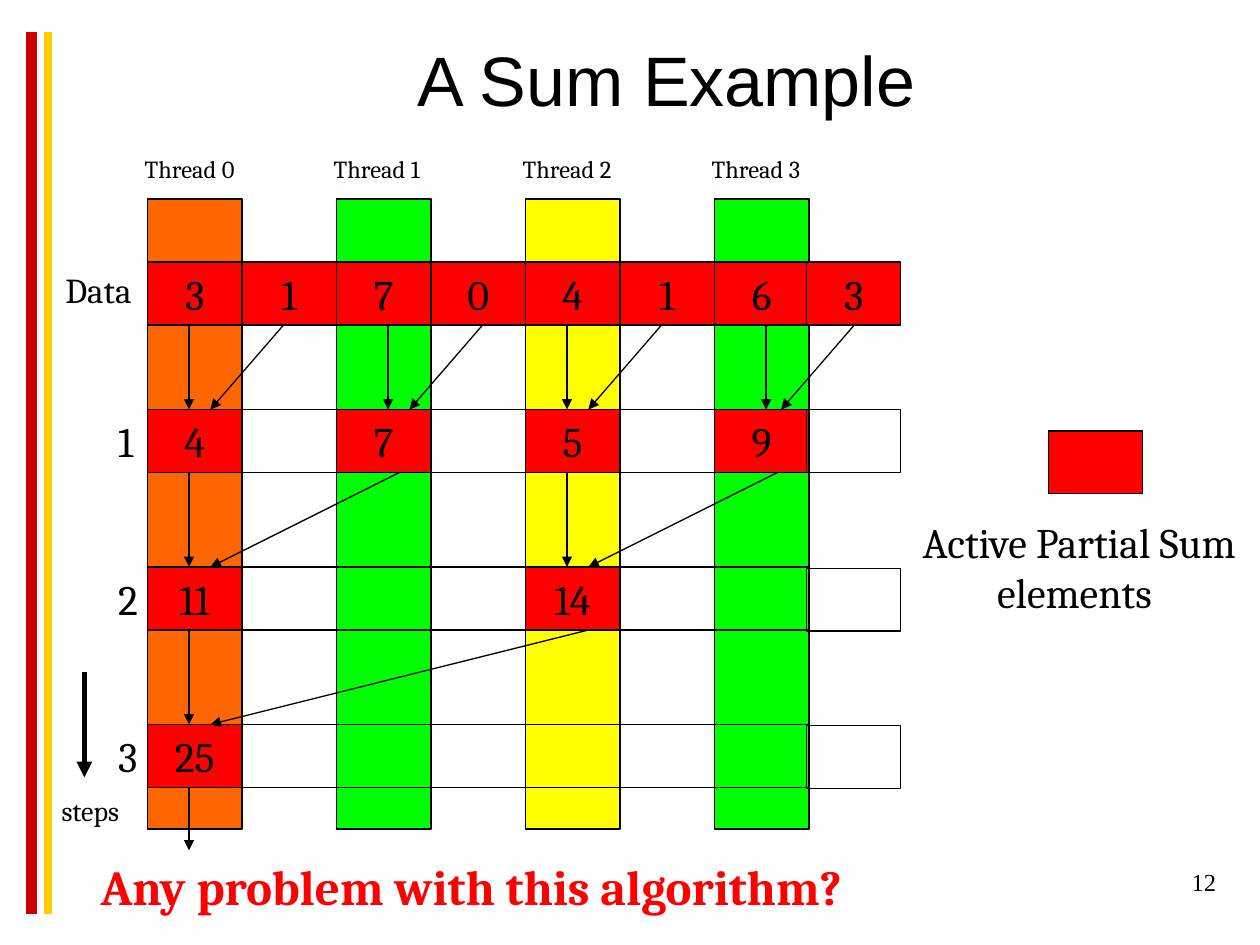
"""Builds the slide that shows a parallel sum reduction across four threads."""
from lxml.etree import SubElement
from pptx import Presentation
from pptx.dml.color import RGBColor
from pptx.enum.shapes import MSO_CONNECTOR, MSO_SHAPE
from pptx.enum.text import MSO_ANCHOR, PP_ALIGN
from pptx.oxml.ns import qn
from pptx.util import Pt

PX = 9144
COLORS = {"black": "000000", "red": "FF0000", "green": "00FF00", "yellow": "FFFF00",
          "orange": "FF6600", "white": "FFFFFF", "bar_red": "CC0000", "bar_gold": "FFCC00"}
CELL_W, CELL_H = 75, 50
GRID_X, LAST_X = 117, 640
THREAD_GAP = 2 * CELL_W
THREADS = ["orange", "green", "yellow", "green"]
ROWS = [
    (208, 0, ["3", "1", "7", "0", "4", "1", "6", "3"]),
    (325, 0, ["4", "", "7", "", "5", "", "9", ""]),
    (450, 1, ["11", "", "", "", "14", "", "", ""]),
    (575, 1, ["25", "", "", "", "", "", "", ""]),
]
STEP_ARROWS = [
    [(150, 150), (225, 167), (308, 308), (383, 325),
     (450, 450), (525, 467), (608, 608), (678, 620)],
    [(150, 150), (317, 167), (450, 450), (617, 467)],
    [(150, 150), (467, 167)],
]


def rgb(name):
    return RGBColor.from_string(COLORS[name])


def write(sp, text, size=24, color="black", font="Cambria", bold=False,
          align=PP_ALIGN.LEFT, anchor=MSO_ANCHOR.TOP, wrap=False):
    tf = sp.text_frame
    for name, value in {"word_wrap": wrap, "vertical_anchor": anchor}.items():
        setattr(tf, name, value)
    p = tf.paragraphs[0]
    p.alignment = align
    r = p.add_run()
    r.text = text
    for name, value in {"size": Pt(size), "name": font, "bold": bold}.items():
        setattr(r.font, name, value)
    r.font.color.rgb = rgb(color)


def add_label(s, x, y, w, h, text, **fmt):
    sp = s.shapes.add_textbox(x * PX, y * PX, w * PX, h * PX)
    write(sp, text, **fmt)


def add_box(s, x, y, w=CELL_W, h=CELL_H, fill=None, outline=True):
    sp = s.shapes.add_shape(MSO_SHAPE.RECTANGLE, x * PX, y * PX, w * PX, h * PX)
    sp.shadow.inherit = False
    if fill:
        sp.fill.solid()
        sp.fill.fore_color.rgb = rgb(fill)
    else:
        sp.fill.background()
    if outline:
        sp.line.color.rgb = rgb("black")
        sp.line.width = Pt(0.75)
    else:
        sp.line.fill.background()
    return sp


def add_line(s, x1, y1, x2, y2, color="black", width=0.75, arrow=True):
    line = s.shapes.add_connector(MSO_CONNECTOR.STRAIGHT, x1 * PX, y1 * PX, x2 * PX, y2 * PX)
    line.line.color.rgb = rgb(color)
    line.line.width = Pt(width)
    if arrow:
        SubElement(line.line._get_or_add_ln(), qn("a:tailEnd"), type="triangle")
    SubElement(line._element.spPr, qn("a:effectLst"))


def add_threads(s):
    for i, color in enumerate(THREADS):
        x = GRID_X + i * THREAD_GAP
        add_box(s, x, 158, h=500, fill=color)
        add_label(s, x - 12, 117, 96, 34, f"Thread {i}", size=14)


def add_row(s, y, last_shift, values):
    last = len(values) - 1
    for i, value in enumerate(values):
        x, top = (LAST_X, y + last_shift) if i == last else (GRID_X + i * CELL_W, y)
        sp = add_box(s, x, top, fill="red" if value else None)
        if value:
            write(sp, value, align=PP_ALIGN.CENTER, anchor=MSO_ANCHOR.MIDDLE)


def add_steps(s):
    tops = [y for y, _, _ in ROWS]
    for arrows, y, next_y in zip(STEP_ARROWS, tops, tops[1:]):
        for x1, x2 in arrows:
            add_line(s, x1, y + CELL_H, x2, next_y)
    for step, y in enumerate(tops[1:], 1):
        add_label(s, 84, y, 36, 50, str(step))
    add_line(s, 150, 625, 150, 675)
    add_line(s, 67, 533, 67, 617, width=3)
    add_label(s, 39, 625, 70, 37, "steps", size=16)


def main():
    prs = Presentation()
    prs.slide_width, prs.slide_height = 1000 * PX, 750 * PX
    s = prs.slides.add_slide(prs.slide_layouts[6])
    add_line(s, 25, 25, 25, 725, color="bar_red", width=6, arrow=False)
    add_line(s, 38, 25, 38, 725, color="bar_gold", width=4.5, arrow=False)
    write(add_box(s, 42, 208, 83, 44, fill="white", outline=False), "Data", size=20, wrap=True)
    add_label(s, 767, 683, 208, 50, "12", size=14, font="Times New Roman",
              align=PP_ALIGN.RIGHT, wrap=True)
    add_label(s, 75, 0, 908, 125, "A Sum Example", size=40, font="Arial",
              align=PP_ALIGN.CENTER, anchor=MSO_ANCHOR.MIDDLE, wrap=True)
    add_threads(s)
    for row in ROWS:
        add_row(s, *row)
    add_steps(s)
    add_box(s, 832, 342, fill="red")
    add_label(s, 715, 405, 283, 90, "Active Partial Sum elements ",
              align=PP_ALIGN.CENTER, wrap=True)
    add_label(s, 70, 675, 626, 57, "Any problem with this algorithm?",
              size=28, color="red", bold=True)
    prs.save("out.pptx")


if __name__ == "__main__":
    main()
